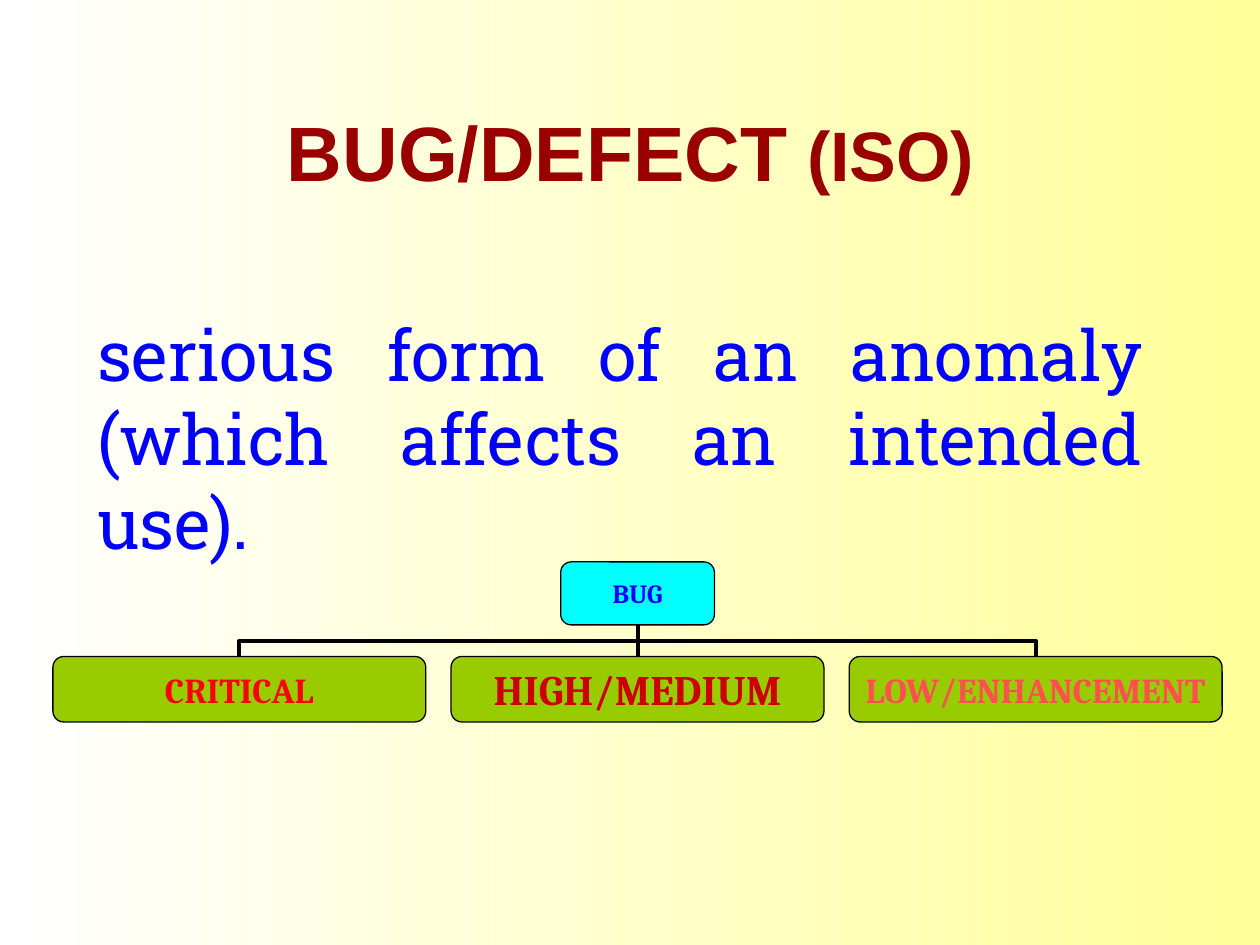
from pptx import Presentation
from pptx.dml.color import RGBColor
from pptx.enum.shapes import MSO_CONNECTOR, MSO_SHAPE
from pptx.enum.text import MSO_ANCHOR, MSO_AUTO_SIZE, PP_ALIGN
from pptx.util import Inches, Pt
from lxml.etree import SubElement
from pptx.oxml.ns import qn

# Content
TITLE = [("BUG/DEFECT", 44), (" (ISO)", 40)]
DEFINITION = "serious form of an anomaly (which affects an intended use)."
ROOT = ("BUG", 15, "0000FF")
SEVERITIES = [
    ("CRITICAL", 20, "FF0000"),
    ("HIGH/MEDIUM", 24, "CC0000"),
    ("LOW/ENHANCEMENT", 20, "FF5050"),
]

THEME = {
    "title_font": "Arial", "body_font": "Roboto Slab", "node_font": "Cambria",
    "title": "990000", "body": "0000FF", "line": "000000",
    "root_fill": "00FFFF", "severity_fill": "99CC00",
    "background": ("FFFF99", "FFFFFF"),
    "body_size": 40, "border": 0.75, "branch": 2.25,
}

# Layout in inches
CENTER_X = 5.06
ROOT_TOP, ROOT_W, ROOT_H = 4.46, 1.22, 0.5
SEVERITY_TOP, SEVERITY_W, SEVERITY_H, PITCH = 5.21, 2.96, 0.52, 3.16


def rgb(key):
    return RGBColor.from_string(THEME.get(key, key))


def style(font, face, size, color, bold):
    font.name, font.size, font.bold = face, Pt(size), bold
    font.color.rgb = rgb(color)


def place(placeholder, left, top, width, height):
    placeholder.left, placeholder.top = Inches(left), Inches(top)
    placeholder.width, placeholder.height = Inches(width), Inches(height)
    frame = placeholder.text_frame
    frame.word_wrap = True
    frame.auto_size = MSO_AUTO_SIZE.NONE
    frame.vertical_anchor = MSO_ANCHOR.TOP
    return frame.paragraphs[0]


def add_node(slide, content, center_x, top, width, height, fill):
    label, size, color = content
    node = slide.shapes.add_shape(
        MSO_SHAPE.ROUNDED_RECTANGLE, Inches(center_x - width / 2), Inches(top),
        Inches(width), Inches(height))
    node.shadow.inherit = False
    node.fill.solid()
    node.fill.fore_color.rgb = rgb(fill)
    node.line.color.rgb = rgb("line")
    node.line.width = Pt(THEME["border"])
    frame = node.text_frame
    frame.word_wrap = False
    frame.vertical_anchor = MSO_ANCHOR.MIDDLE
    frame.margin_left = frame.margin_right = Inches(0.05)
    frame.margin_top = frame.margin_bottom = Inches(0.03)
    paragraph = frame.paragraphs[0]
    paragraph.text = label
    paragraph.alignment = PP_ALIGN.CENTER
    style(paragraph.font, THEME["node_font"], size, color, True)
    return node


def add_branch(slide, root, severity, offset):
    kind = MSO_CONNECTOR.ELBOW if offset else MSO_CONNECTOR.STRAIGHT
    branch = slide.shapes.add_connector(kind, 0, 0, 0, 0)
    branch.begin_connect(severity, 0)
    branch.end_connect(root, 2)
    branch.line.color.rgb = rgb("line")
    branch.line.width = Pt(THEME["branch"])
    SubElement(branch._element.spPr, qn("a:effectLst"))
    if offset:
        # Turn the elbow so that it leaves the boxes vertically
        root_bottom = ROOT_TOP + ROOT_H
        rise, span = SEVERITY_TOP - root_bottom, abs(offset)
        branch.left = Inches(CENTER_X + offset / 2 - rise / 2)
        branch.top = Inches(root_bottom + rise / 2 - span / 2)
        branch.width, branch.height = Inches(rise), Inches(span)
        xfrm = branch._element.spPr.find(qn("a:xfrm"))
        xfrm.set("rot", str((270 if offset > 0 else 90) * 60000))
        xfrm.set("flipH", "0" if offset > 0 else "1")
        xfrm.set("flipV", "1")


presentation = Presentation()
presentation.slide_width, presentation.slide_height = Inches(10), Inches(7.5)
slide = presentation.slides.add_slide(presentation.slide_layouts[1])

# Background
background = slide.background.fill
background.gradient()
background.gradient_angle = 180
for stop, color, position in zip(background.gradient_stops, THEME["background"], (0, 1)):
    stop.color.rgb = rgb(color)
    stop.position = position

# Title
heading = place(slide.shapes.title, 0.17, 0.78, 9.67, 0.84)
heading.alignment = PP_ALIGN.CENTER
for text, size in TITLE:
    run = heading.add_run()
    run.text = text
    style(run.font, THEME["title_font"], size, "title", True)

# Definition
definition = place(slide.placeholders[1], 0.67, 2.42, 8.5, 2.1)
definition.text = DEFINITION
definition.alignment = PP_ALIGN.JUSTIFY
definition.space_before = Pt(0)
properties = definition._p.get_or_add_pPr()
properties.set("marL", "0")
properties.set("indent", "0")
SubElement(properties, qn("a:buNone"))
style(definition.font, THEME["body_font"], THEME["body_size"], "body", False)

# Severity tree
root = add_node(slide, ROOT, CENTER_X, ROOT_TOP, ROOT_W, ROOT_H, "root_fill")
for index, content in enumerate(SEVERITIES):
    offset = (index - (len(SEVERITIES) - 1) / 2) * PITCH
    severity = add_node(slide, content, CENTER_X + offset, SEVERITY_TOP,
                        SEVERITY_W, SEVERITY_H, "severity_fill")
    add_branch(slide, root, severity, offset)

presentation.save("out.pptx")
